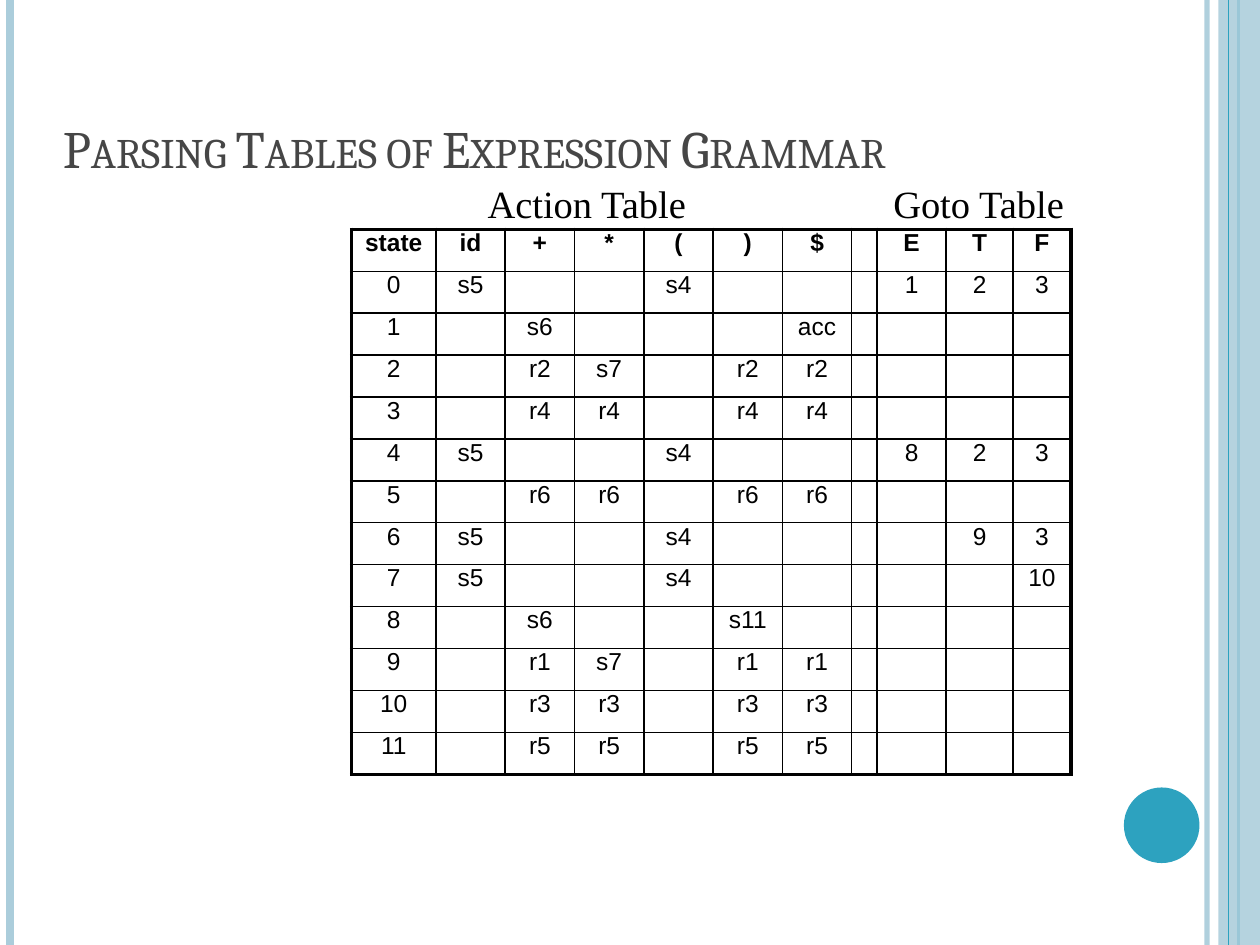
from pptx import Presentation
from pptx.dml.color import RGBColor
from pptx.enum.shapes import MSO_CONNECTOR, MSO_SHAPE
from pptx.enum.text import MSO_ANCHOR, PP_ALIGN
from pptx.oxml.ns import qn
from pptx.util import Inches, Pt
from lxml.etree import SubElement

BLACK = RGBColor(0x00, 0x00, 0x00)
GRAY = RGBColor(0x46, 0x46, 0x46)
TEAL = RGBColor(0x2D, 0xA2, 0xBF)
PALE_TEAL = RGBColor(0xAB, 0xCD, 0xDB)

SLIDE_WIDTH, SLIDE_HEIGHT = 10, 7.5
COLUMN_WIDTHS = [0.67] + [0.55] * 6 + [0.2, 0.55, 0.53, 0.46]
ROW_HEIGHT = 0.333
INNER_BORDER, OUTER_BORDER = 1, 2.25

# Columns: state, six terminals, a gap, three nonterminals
PARSING_TABLE = [
    ["state", "id", "+", "*", "(", ")", "$", "", "E", "T", "F"],
    ["0", "s5", "", "", "s4", "", "", "", "1", "2", "3"],
    ["1", "", "s6", "", "", "", "acc", "", "", "", ""],
    ["2", "", "r2", "s7", "", "r2", "r2", "", "", "", ""],
    ["3", "", "r4", "r4", "", "r4", "r4", "", "", "", ""],
    ["4", "s5", "", "", "s4", "", "", "", "8", "2", "3"],
    ["5", "", "r6", "r6", "", "r6", "r6", "", "", "", ""],
    ["6", "s5", "", "", "s4", "", "", "", "", "9", "3"],
    ["7", "s5", "", "", "s4", "", "", "", "", "", "10"],
    ["8", "", "s6", "", "", "s11", "", "", "", "", ""],
    ["9", "", "r1", "s7", "", "r1", "r1", "", "", "", ""],
    ["10", "", "r3", "r3", "", "r3", "r3", "", "", "", ""],
    ["11", "", "r5", "r5", "", "r5", "r5", "", "", "", ""],
]


def set_attributes(target, values):
    for name, value in values.items():
        setattr(target, name, value)


def set_opacity(element, percent):
    color = element.find(".//" + qn("a:srgbClr"))
    SubElement(color, qn("a:alpha"), val=str(percent * 1000))


def write_text(paragraph, text, font, size, color=BLACK, bold=False):
    run = paragraph.add_run()
    run.text = text
    set_attributes(run.font, {"name": font, "size": Pt(size), "bold": bold})
    run.font.color.rgb = color
    return run


def add_vertical_line(slide, x, color, width, opacity=100):
    line = slide.shapes.add_connector(
        MSO_CONNECTOR.STRAIGHT, Inches(x), 0, Inches(x), Inches(SLIDE_HEIGHT))
    line.line.color.rgb = color
    line.line.width = Pt(width)
    properties = line._element.spPr
    if opacity < 100:
        set_opacity(properties, opacity)
    SubElement(properties, qn("a:effectLst"))


def add_plain_shape(slide, kind, box, color, opacity=100):
    shape = slide.shapes.add_shape(kind, *map(Inches, box))
    shape.shadow.inherit = False
    shape.fill.solid()
    shape.fill.fore_color.rgb = color
    shape.line.fill.background()
    if opacity < 100:
        set_opacity(shape._element.spPr, opacity)


def add_text(slide, box, text, font, size, color=BLACK,
             anchor=MSO_ANCHOR.TOP, top_margin=0):
    frame = slide.shapes.add_textbox(*map(Inches, box)).text_frame
    set_attributes(frame, {
        "word_wrap": True, "vertical_anchor": anchor,
        "margin_left": 0, "margin_right": 0,
        "margin_top": Inches(top_margin), "margin_bottom": 0,
    })
    return write_text(frame.paragraphs[0], text, font, size, color)


def set_borders(cell, widths):
    properties = cell._tc.get_or_add_tcPr()
    for side, width in widths.items():
        line = SubElement(properties, qn("a:ln" + side), w=str(Pt(width)))
        fill = SubElement(line, qn("a:solidFill"))
        SubElement(fill, qn("a:srgbClr"), val=str(BLACK))


def border_width(is_outer):
    return OUTER_BORDER if is_outer else INNER_BORDER


def add_parsing_table(slide, left, top):
    row_count, column_count = len(PARSING_TABLE), len(COLUMN_WIDTHS)
    table = slide.shapes.add_table(
        row_count, column_count, Inches(left), Inches(top),
        Inches(sum(COLUMN_WIDTHS)), Inches(ROW_HEIGHT * row_count)).table
    set_attributes(table, {"first_row": False, "horz_banding": False})
    for column, width in zip(table.columns, COLUMN_WIDTHS):
        column.width = Inches(width)
    for row_index, values in enumerate(PARSING_TABLE):
        table.rows[row_index].height = Inches(ROW_HEIGHT)
        for column_index, value in enumerate(values):
            cell = table.cell(row_index, column_index)
            set_attributes(cell, {"margin_left": 0, "margin_right": 0,
                                  "margin_top": 0, "margin_bottom": 0})
            set_borders(cell, {
                "L": border_width(column_index == 0),
                "R": border_width(column_index == column_count - 1),
                "T": border_width(row_index == 0),
                "B": border_width(row_index == row_count - 1),
            })
            cell.fill.background()
            if value:
                paragraph = cell.text_frame.paragraphs[0]
                paragraph.alignment = PP_ALIGN.CENTER
                write_text(paragraph, value, "Arial", 14, bold=row_index == 0)


def main():
    presentation = Presentation()
    set_attributes(presentation, {"slide_width": Inches(SLIDE_WIDTH),
                                  "slide_height": Inches(SLIDE_HEIGHT)})
    slide = presentation.slides.add_slide(presentation.slide_layouts[6])

    # Side stripes and disc
    add_vertical_line(slide, 9.58, PALE_TEAL, 3, opacity=93)
    add_vertical_line(slide, 0.08, PALE_TEAL, 4.5)
    add_vertical_line(slide, 9.83, TEAL, 1.5)
    add_plain_shape(slide, MSO_SHAPE.RECTANGLE,
                    (9.67, 0, 0.33, SLIDE_HEIGHT), PALE_TEAL, opacity=87)
    add_vertical_line(slide, 9.75, TEAL, 0.75)
    add_plain_shape(slide, MSO_SHAPE.OVAL, (8.92, 6.25, 0.6, 0.6), TEAL)

    # Title in small capitals
    title = add_text(slide, (0.5, 0.3, 8.17, 1.12),
                     "Parsing Tables of Expression Grammar", "Cambria", 30,
                     GRAY, MSO_ANCHOR.BOTTOM, top_margin=0.11)
    title.font._element.set("cap", "small")

    # Table and its two captions
    add_parsing_table(slide, 2.79, 1.82)
    add_text(slide, (3.87, 1.43, 1.61, 0.37), "Action Table",
             "Times New Roman", 22)
    add_text(slide, (7.09, 1.43, 1.4, 0.37), "Goto Table",
             "Times New Roman", 22)

    presentation.save("out.pptx")


if __name__ == "__main__":
    main()
